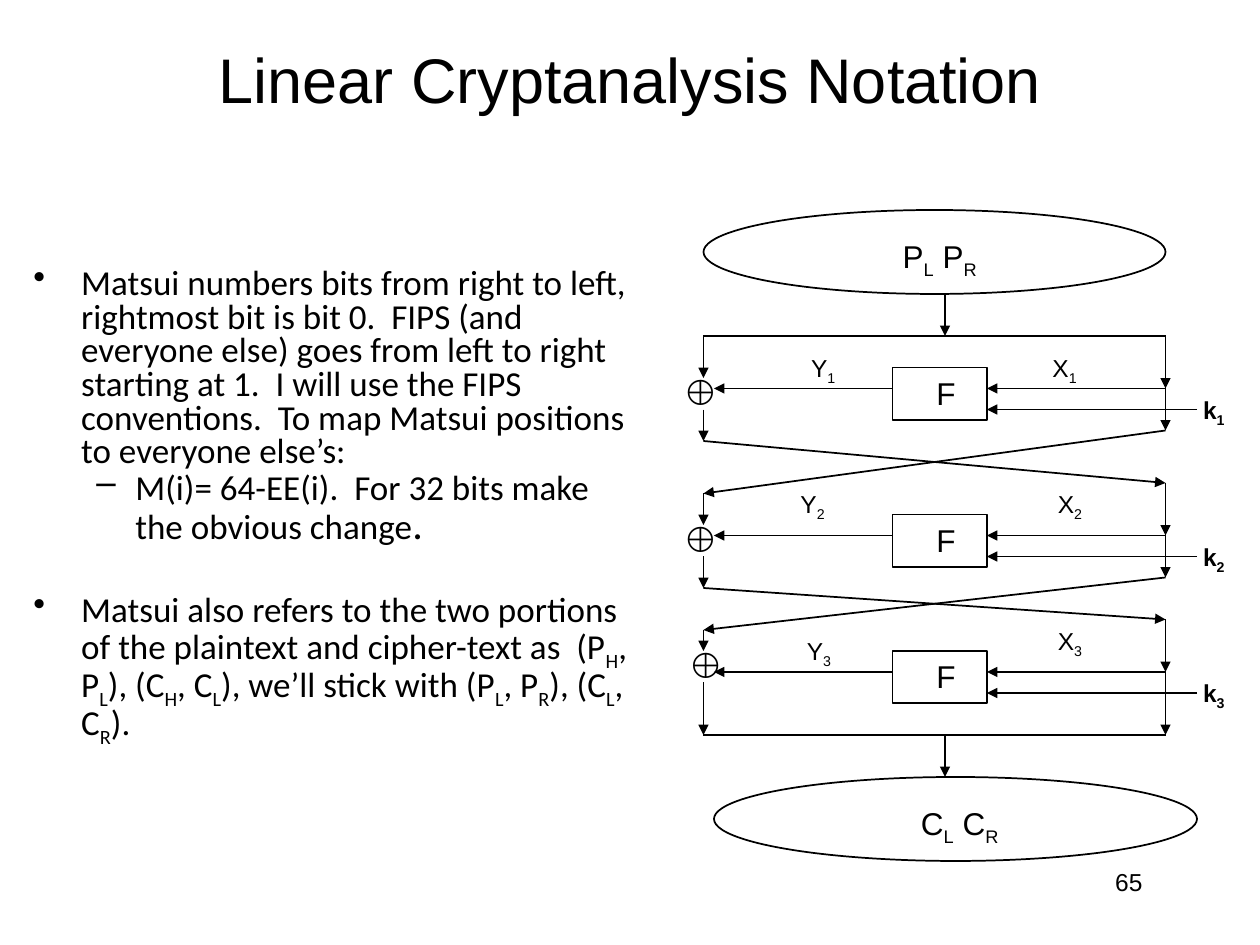
import pptx
import pptx.util
import pptx.dml.color
import pptx.enum.shapes
import pptx.enum.text
import pptx.oxml
import pptx.oxml.ns

COLORS = {"ink": "000000"}
CELL = pptx.util.Inches(10) // 120
ALIGN = pptx.enum.text.PP_ALIGN
ANCHOR = pptx.enum.text.MSO_ANCHOR
SHAPES = pptx.enum.shapes.MSO_SHAPE

TITLE = {"name": "Arial", "size": pptx.util.Pt(36)}
BODY = {"name": "Calibri", "size": pptx.util.Pt(20)}
LARGE = {"name": "Arial", "size": pptx.util.Pt(18)}
SMALL = {"name": "Arial", "size": pptx.util.Pt(14)}
KEY = {**SMALL, "bold": True}
SYMBOL = {"name": "DejaVu Sans Mono", "size": pptx.util.Pt(24)}

LEFT, RIGHT, CENTRE, KEY_START = 3, 47, 26, 50
BOX_LEFT, BOX_RIGHT = 21, 30
ROUNDS = [
    {"middle": 17, "left": (12, 16, 19, 22), "right": (12, 21),
     "xor": (0, 14), "X": (35, 13), "Y": (12, 13)},
    {"middle": 31, "left": (27, 30, 33, 36), "right": (26, 35),
     "xor": (0, 28), "X": (35.5, 26), "Y": (11, 26)},
    {"middle": 44, "left": (40, 42, 45, 50), "right": (39, 50),
     "xor": (0.5, 40), "X": (35.5, 39), "Y": (11.6, 40)},
]

BULLETS = [
    {"text": "Matsui numbers bits from right to left, rightmost bit is bit 0.  "
             "FIPS (and everyone else) goes from left to right starting at 1.  "
             "I will use the FIPS conventions.  "
             "To map Matsui positions to everyone else’s:",
     "mark": "•", "margin": 0.38, "hang": 0.38, "level": 0, "before": 0},
    {"text": "M(i)= 64-EE(i).  For 32 bits make the obvious change", "end": ".",
     "mark": "–", "margin": 0.81, "hang": 0.31, "level": 1, "before": 2},
    {"text": "Matsui also refers to the two portions of the plaintext and "
             "cipher-text as  (P_H, P_L), (C_H, C_L), we’ll stick with "
             "(P_L, P_R), (C_L, C_R).",
     "mark": "•", "margin": 0.38, "hang": 0.38, "level": 0, "before": 27},
]


def cells(*counts):
    """Turn counts of grid cells into lengths."""
    return [round(count * CELL) for count in counts]


def ink():
    """Return the ink colour."""
    return pptx.dml.color.RGBColor.from_string(COLORS["ink"])


def add_run(paragraph, text, values, subscript=False):
    """Add one formatted run."""
    run = paragraph.add_run()
    run.text = text
    for name, value in values.items():
        setattr(run.font, name, value)
    run.font.color.rgb = ink()
    if subscript:
        run.font._element.set("baseline", "-25000")


def write(paragraph, text, values):
    """Write text in which an underscore lowers the next character."""
    first, *others = text.split("_")
    add_run(paragraph, first, values)
    for part in others:
        add_run(paragraph, part[0], values, subscript=True)
        if part[1:]:
            add_run(paragraph, part[1:], values)


def add_text(slide, box, text, values, align=ALIGN.CENTER, anchor=ANCHOR.TOP):
    """Add a one-line text in a box of grid cells."""
    frame = slide.shapes.add_textbox(*cells(*box)).text_frame
    frame.word_wrap = False
    frame.vertical_anchor = anchor
    frame.paragraphs[0].alignment = align
    write(frame.paragraphs[0], text, values)


def add_outline(slide, kind, box):
    """Add an unfilled outlined shape in a box of grid cells."""
    shape = slide.shapes.add_shape(kind, *cells(*box))
    shape.shadow.inherit = False
    shape.fill.background()
    shape.line.color.rgb = ink()
    shape.line.width = pptx.util.Pt(1)


def add_line(slide, origin, start, end, arrow=True):
    """Add a straight line between two points relative to an origin."""
    x, y = origin
    line = slide.shapes.add_connector(
        pptx.enum.shapes.MSO_CONNECTOR.STRAIGHT,
        *cells(x + start[0], y + start[1], x + end[0], y + end[1]))
    line.line.color.rgb = ink()
    line.line.width = pptx.util.Pt(1)
    if arrow:
        head = pptx.oxml.parse_xml(
            f'<a:tailEnd {pptx.oxml.ns.nsdecls("a")} type="triangle"/>')
        line.line._get_or_add_ln().append(head)
    line._element.spPr.append(pptx.oxml.parse_xml(
        f'<a:effectLst {pptx.oxml.ns.nsdecls("a")}/>'))


def add_bullets(slide, box):
    """Add the bulleted explanation."""
    frame = slide.shapes.add_textbox(*cells(*box)).text_frame
    frame.word_wrap = True
    for index, bullet in enumerate(BULLETS):
        paragraph = frame.add_paragraph() if index else frame.paragraphs[0]
        formats = {"level": bullet["level"], "line_spacing": 0.8,
                   "space_before": pptx.util.Pt(bullet["before"])}
        for name, value in formats.items():
            setattr(paragraph, name, value)
        properties = paragraph._p.get_or_add_pPr()
        properties.set("marL", str(pptx.util.Inches(bullet["margin"])))
        properties.set("indent", str(-pptx.util.Inches(bullet["hang"])))
        properties.append(pptx.oxml.parse_xml(
            f'<a:buChar {pptx.oxml.ns.nsdecls("a")} char="{bullet["mark"]}"/>'))
        write(paragraph, bullet["text"], BODY)
        if "end" in bullet:
            add_run(paragraph, bullet["end"], {**BODY, "size": pptx.util.Pt(24)})


def add_round(slide, origin, number, layout):
    """Add one cipher round with its function box, key and labels."""
    x, y = origin
    middle = layout["middle"]
    left_in, left_xor, left_out, left_end = layout["left"]
    right_in, right_end = layout["right"]
    add_outline(slide, SHAPES.RECTANGLE, (x + BOX_LEFT, y + middle - 2, 9, 5))
    for start, end in [
        ((BOX_LEFT, middle), (LEFT + 1, middle)),
        ((RIGHT, middle), (BOX_RIGHT, middle)),
        ((KEY_START, middle + 2), (BOX_RIGHT, middle + 2)),
        ((LEFT, left_in), (LEFT, left_xor)),
        ((LEFT, left_out), (LEFT, left_end)),
        ((RIGHT, right_in), (RIGHT, middle)),
        ((RIGHT, middle), (RIGHT, right_end)),
    ]:
        add_line(slide, origin, start, end)
    for text, (column, row), width, height, values in [
        ("F", (24, middle - 2), 4.2, 4.8, LARGE),
        ("⨁", layout["xor"], 5.4, 6, SYMBOL),
        (f"X_{number}", layout["X"], 4.8, 4, SMALL),
        (f"Y_{number}", layout["Y"], 4.8, 4, SMALL),
        (f"k_{number}", (48.2, middle), 6.8, 4, KEY),
    ]:
        add_text(slide, (x + column, y + row, width, height), text, values)


def add_cipher(slide, box):
    """Add the three-round cipher diagram."""
    x, y, width, height = box
    origin = (x, y)
    add_outline(slide, SHAPES.OVAL, (x + LEFT, y, RIGHT - LEFT, 8))
    add_outline(slide, SHAPES.OVAL, (x + LEFT + 1, y + height - 8, 46, 8))
    add_text(slide, (x + 20.6, y + 2, 9.8, 4.8), "P_L P_R", LARGE)
    add_text(slide, (x + 22.4, y + height - 6, 10, 4.8), "C_L C_R", LARGE)
    for row in (8, height - 12):
        add_line(slide, origin, (CENTRE, row), (CENTRE, row + 4))
    for row in (12, height - 12):
        add_line(slide, origin, (LEFT, row), (RIGHT, row), arrow=False)
    for number, layout in enumerate(ROUNDS, 1):
        add_round(slide, origin, number, layout)
    for upper, lower in zip(ROUNDS, ROUNDS[1:]):
        add_line(slide, origin, (RIGHT, upper["right"][-1]), (LEFT, lower["left"][0]))
        add_line(slide, origin, (LEFT, upper["left"][-1]), (RIGHT, lower["right"][0]))


def main():
    """Build the slide and save it."""
    presentation = pptx.Presentation()
    presentation.slide_width, presentation.slide_height = cells(120, 90)
    slide = presentation.slides.add_slide(presentation.slide_layouts[6])
    add_text(slide, (9, 2, 102, 11), "Linear Cryptanalysis Notation", TITLE,
             anchor=ANCHOR.MIDDLE)
    add_bullets(slide, (2, 25, 60, 54))
    add_cipher(slide, (64, 20, 56, 62))
    add_text(slide, (85, 82, 25, 6), "65", SMALL, align=ALIGN.RIGHT)
    presentation.save("out.pptx")


if __name__ == "__main__":
    main()
